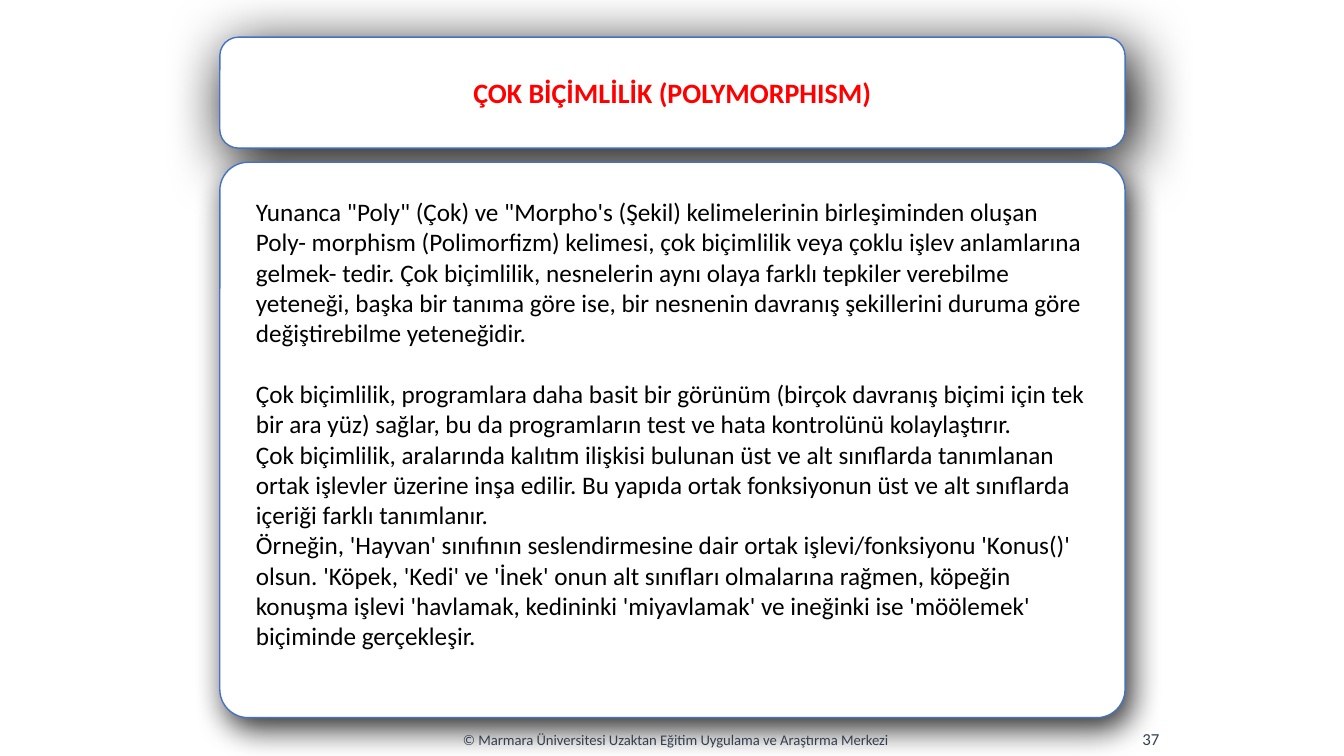
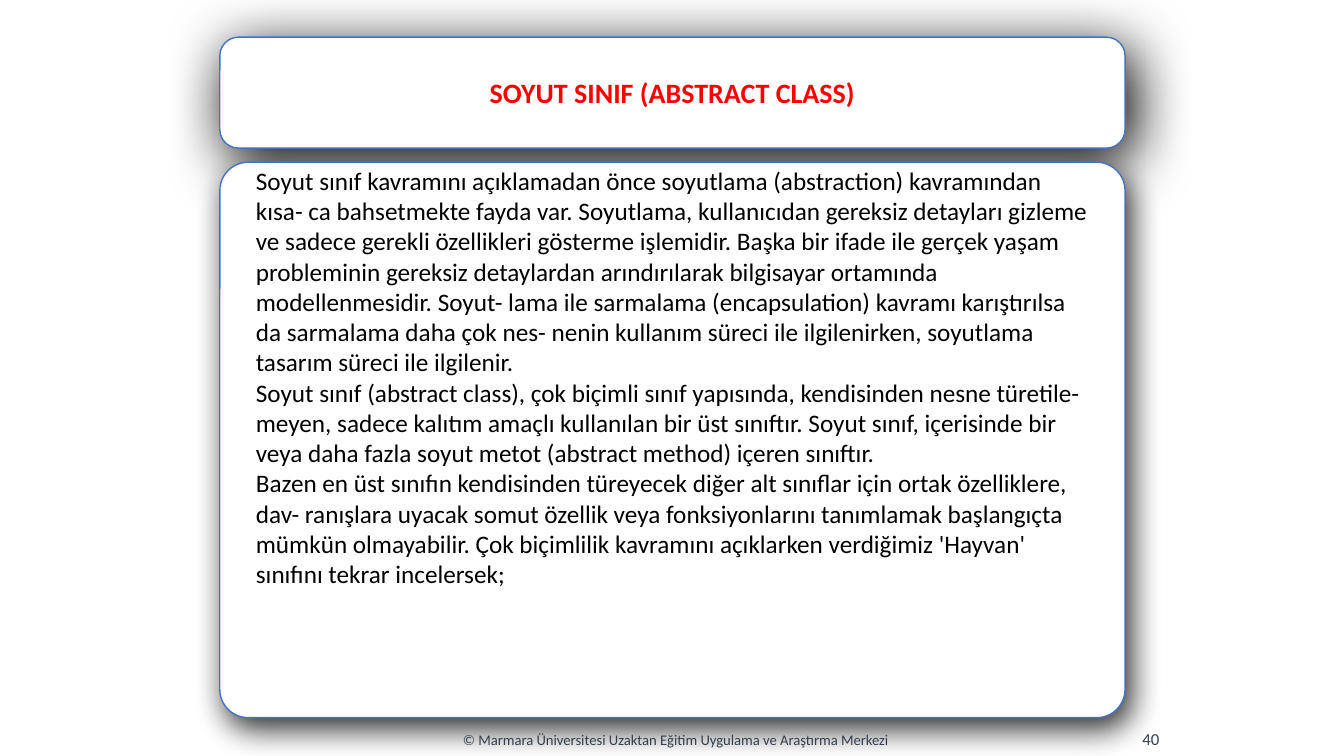
import pptx
import pptx.util
import pptx.dml.color
import pptx.enum.shapes
import pptx.enum.text
import pptx.oxml
import pptx.oxml.ns

Pt = pptx.util.Pt
RGBColor = pptx.dml.color.RGBColor
ALIGN = pptx.enum.text.PP_ALIGN
MIDDLE = pptx.enum.text.MSO_ANCHOR.MIDDLE
TOP = pptx.enum.text.MSO_ANCHOR.TOP

WHITE = RGBColor(0xFF, 0xFF, 0xFF)
BLACK = RGBColor(0x00, 0x00, 0x00)
RED = RGBColor(0xFF, 0x00, 0x00)
BLUE = RGBColor(0x44, 0x72, 0xC4)
SLATE = RGBColor(0x33, 0x3F, 0x50)

FONT = "Calibri"
BODY_SIZE = 18
BLANK_LINE = 22
PANEL_LEFT, PANEL_WIDTH = 157, 646.6
FOOTER = "© Marmara Üniversitesi Uzaktan Eğitim Uygulama ve Araştırma Merkezi"

# Each slide: title, page number, top and height of the body text,
# then its paragraphs with the space before each.
SLIDES = [
    ("ÇOK BİÇİMLİLİK (POLYMORPHISM)", "37", 136.8, 356.4, [
        (0, "Yunanca \"Poly\" (Çok) ve \"Morpho's (Şekil) kelimelerinin birleşiminden oluşan "
            "Poly- morphism (Polimorfizm) kelimesi, çok biçimlilik veya çoklu işlev anlamlarına "
            "gelmek- tedir. Çok biçimlilik, nesnelerin aynı olaya farklı tepkiler verebilme "
            "yeteneği, başka bir tanıma göre ise, bir nesnenin davranış şekillerini duruma göre "
            "değiştirebilme yeteneğidir."),
        (BLANK_LINE,
            "Çok biçimlilik, programlara daha basit bir görünüm (birçok davranış biçimi için tek "
            "bir ara yüz) sağlar, bu da programların test ve hata kontrolünü kolaylaştırır."),
        (0, "Çok biçimlilik, aralarında kalıtım ilişkisi bulunan üst ve alt sınıflarda tanımlanan "
            "ortak işlevler üzerine inşa edilir. Bu yapıda ortak fonksiyonun üst ve alt sınıflarda "
            "içeriği farklı tanımlanır."),
        (0, "Örneğin, 'Hayvan' sınıfının seslendirmesine dair ortak işlevi/fonksiyonu 'Konus()' "
            "olsun. 'Köpek, 'Kedi' ve 'İnek' onun alt sınıfları olmalarına rağmen, köpeğin "
            "konuşma işlevi 'havlamak, kedininki 'miyavlamak' ve ineğinki ise 'möölemek' "
            "biçiminde gerçekleşir."),
    ]),
    ("SOYUT SINIF (ABSTRACT CLASS)", "40", 114.5, 312.5, [
        (0, "Soyut sınıf kavramını açıklamadan önce soyutlama (abstraction) kavramından kısa- ca "
            "bahsetmekte fayda var. Soyutlama, kullanıcıdan gereksiz detayları gizleme ve sadece "
            "gerekli özellikleri gösterme işlemidir. Başka bir ifade ile gerçek yaşam probleminin "
            "gereksiz detaylardan arındırılarak bilgisayar ortamında modellenmesidir. Soyut- lama "
            "ile sarmalama (encapsulation) kavramı karıştırılsa da sarmalama daha çok nes- nenin "
            "kullanım süreci ile ilgilenirken, soyutlama tasarım süreci ile ilgilenir."),
        (0, "Soyut sınıf (abstract class), çok biçimli sınıf yapısında, kendisinden nesne türetile- "
            "meyen, sadece kalıtım amaçlı kullanılan bir üst sınıftır. Soyut sınıf, içerisinde bir "
            "veya daha fazla soyut metot (abstract method) içeren sınıftır."),
        (0, "Bazen en üst sınıfın kendisinden türeyecek diğer alt sınıflar için ortak özelliklere, "
            "dav- ranışlara uyacak somut özellik veya fonksiyonlarını tanımlamak başlangıçta "
            "mümkün olmayabilir. Çok biçimlilik kavramını açıklarken verdiğimiz 'Hayvan' sınıfını "
            "tekrar incelersek;"),
    ]),
]


def add_panel(page, top, height, corner, opacity, blur, angle):
    """Add a white rounded panel with a soft black shadow."""
    panel = page.shapes.add_shape(
        pptx.enum.shapes.MSO_SHAPE.ROUNDED_RECTANGLE,
        Pt(PANEL_LEFT), Pt(top), Pt(PANEL_WIDTH), Pt(height))
    panel.adjustments[0] = corner
    panel.fill.solid()
    panel.fill.fore_color.rgb = WHITE
    panel.line.color.rgb = BLUE
    panel.line.width = Pt(1)
    panel.shadow.inherit = False
    effects = panel._element.spPr.find(pptx.oxml.ns.qn("a:effectLst"))
    effects.append(pptx.oxml.parse_xml(
        f'<a:outerShdw {pptx.oxml.ns.nsdecls("a")} blurRad="{Pt(blur)}" dist="{Pt(9)}" '
        f'dir="{angle * 60000}" algn="ctr" rotWithShape="0"><a:srgbClr val="{BLACK}">'
        f'<a:alpha val="{opacity * 1000}"/></a:srgbClr></a:outerShdw>'))
    return panel


def write(shape, paragraphs, size, color, align, anchor=MIDDLE, bold=False):
    frame = shape.text_frame
    frame.word_wrap = True
    frame.vertical_anchor = anchor
    for number, (space, text) in enumerate(paragraphs):
        para = frame.add_paragraph() if number else frame.paragraphs[0]
        para.text = text
        para.alignment = align
        if space:
            para.space_before = Pt(space)
        para.font.name = FONT
        para.font.size = Pt(size)
        para.font.bold = bold
        para.font.color.rgb = color


deck = pptx.Presentation()
deck.slide_width, deck.slide_height = Pt(960), Pt(540)

for title, number, body_top, body_height, paragraphs in SLIDES:
    page = deck.slides.add_slide(deck.slide_layouts[6])

    title_panel = add_panel(page, 26.6, 79.2, 0.167, opacity=99, blur=43, angle=60)
    write(title_panel, [(0, title)], 20, RED, ALIGN.CENTER, bold=True)
    add_panel(page, 115.9, 396.7, 0.051, opacity=81, blur=23, angle=64)

    footer = page.shapes.add_textbox(Pt(270), Pt(514), Pt(425.5), Pt(28.8))
    write(footer, [(0, FOOTER)], 10.5, SLATE, ALIGN.CENTER)
    page_number = page.shapes.add_textbox(Pt(667.4), Pt(513.4), Pt(167.8), Pt(28.8))
    write(page_number, [(0, number)], 12, SLATE, ALIGN.RIGHT)

    body = page.shapes.add_textbox(Pt(175.7), Pt(body_top), Pt(608.4), Pt(body_height))
    write(body, paragraphs, BODY_SIZE, BLACK, ALIGN.LEFT, TOP)
    body.text_frame.auto_size = pptx.enum.text.MSO_AUTO_SIZE.SHAPE_TO_FIT_TEXT

deck.save("out.pptx")
